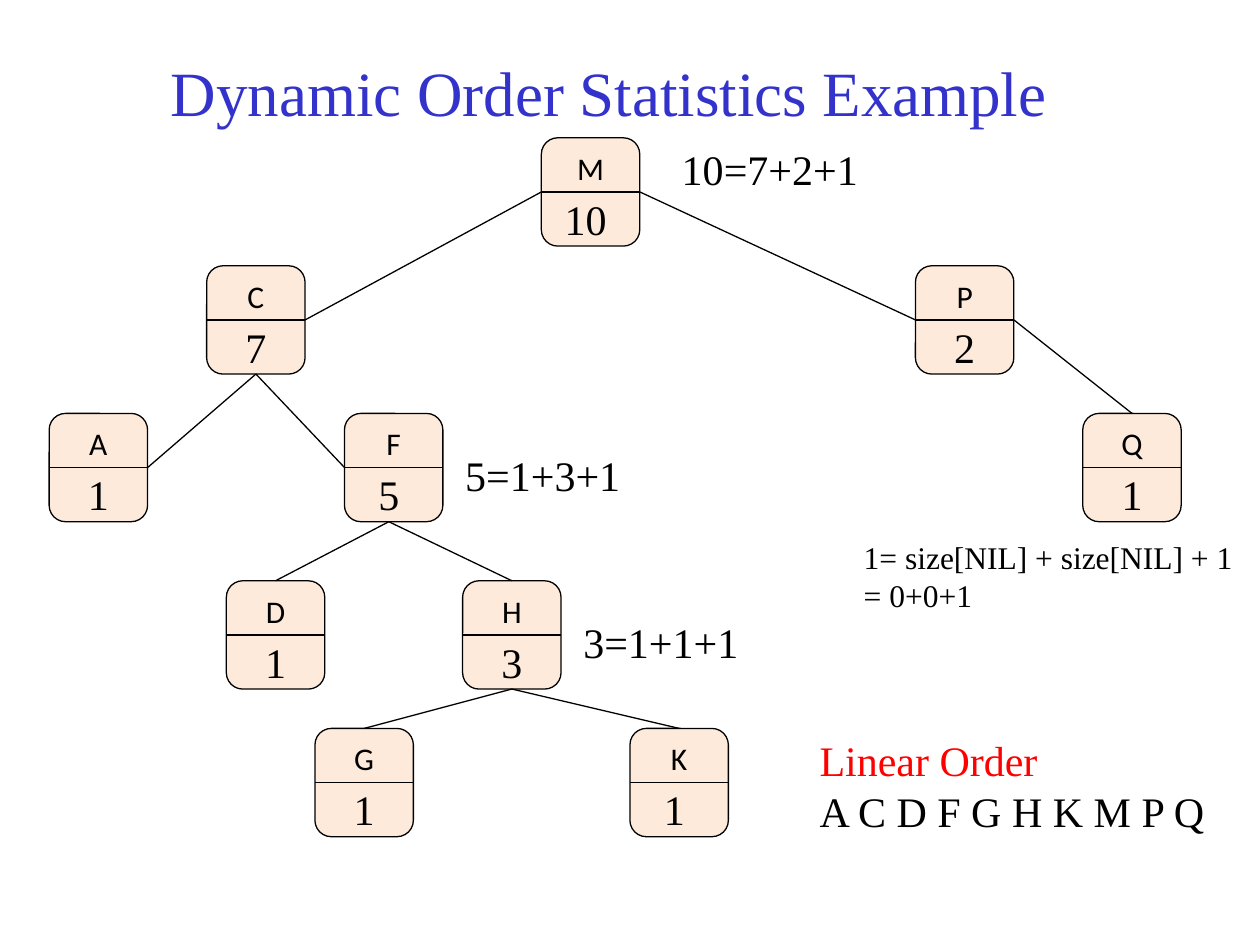
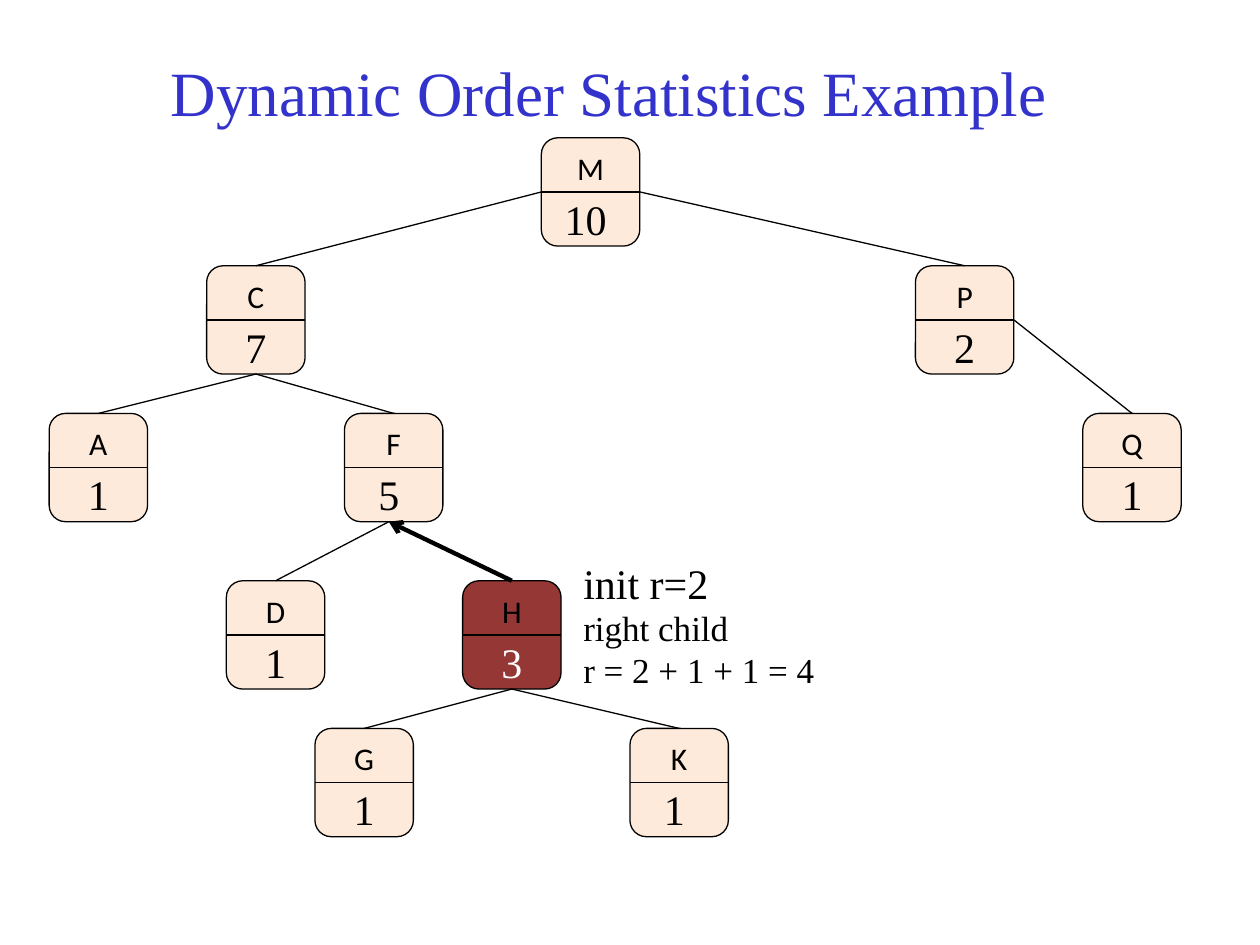
import dataclasses

import pptx
import pptx.dml.color
import pptx.enum.shapes
import pptx.enum.text
import pptx.oxml
import pptx.oxml.ns
import pptx.util

Pt = pptx.util.Pt
ALIGN = pptx.enum.text.PP_ALIGN


@dataclasses.dataclass(frozen=True)
class Theme:
    title: str = "3333CC"
    ink: str = "000000"
    accent: str = "FF0000"
    node: str = "FDEADA"
    current: str = "953735"
    on_current: str = "FFFFFF"
    serif: str = "Times New Roman"
    sans: str = "Calibri"
    title_size: int = 36
    value_size: int = 24
    note_size: int = 20
    label_size: int = 18
    thin: float = 0.75
    thick: float = 2.5


THEME = Theme()
GRID = 45 / 8
NODE_WIDTH, NODE_HEIGHT = 10, 11
ROWS = (14, 27, 42, 59, 74)

# key: column, row, size of subtree, width of the value box
NODES = {
    "M": (55, 0, 10, 7),
    "P": (93, 1, 2, 8),
    "C": (21, 1, 7, 8),
    "A": (5, 2, 1, 8),
    "F": (35, 2, 5, 7),
    "D": (23, 3, 1, 8),
    "H": (47, 3, 3, 8),
    "K": (64, 4, 1, 7),
    "G": (32, 4, 1, 8),
    "Q": (110, 2, 1, 8),
}
SHARED_EDGES = (
    ("Q", "top", "P", "right"),
    ("D", "top", "F", "bottom"),
    ("G", "top", "H", "bottom"),
    ("K", "top", "H", "bottom"),
)
SIZE_EDGES = (
    ("C", "right", "M", "left"),
    ("P", "left", "M", "right"),
    ("A", "right", "C", "bottom"),
    ("F", "left", "C", "bottom"),
    ("H", "top", "F", "bottom"),
)
RANK_EDGES = (
    ("C", "top", "M", "left"),
    ("P", "top", "M", "right"),
    ("A", "top", "C", "bottom"),
    ("F", "top", "C", "bottom"),
)


def rgb(color):
    return pptx.dml.color.RGBColor.from_string(color)


def style_paragraph(paragraph, text, size, font, color, alignment):
    paragraph.text = text
    paragraph.alignment = alignment
    paragraph.font.size = Pt(size)
    paragraph.font.name = font
    paragraph.font.color.rgb = rgb(color)


def add_text(shapes, box, lines, size, color=THEME.ink, alignment=ALIGN.LEFT, wrap=False):
    shape = shapes.add_textbox(*map(Pt, box))
    frame = shape.text_frame
    frame.word_wrap = wrap
    frame.auto_size = pptx.enum.text.MSO_AUTO_SIZE.SHAPE_TO_FIT_TEXT
    for index, line in enumerate(lines):
        paragraph = frame.add_paragraph() if index else frame.paragraphs[0]
        style_paragraph(paragraph, line, size, THEME.serif, color, alignment)
    return shape


def add_line(shapes, start, end, width=THEME.thin, arrow=False):
    connector = shapes.add_connector(
        pptx.enum.shapes.MSO_CONNECTOR.STRAIGHT, *map(Pt, (*start, *end))
    )
    connector.line.color.rgb = rgb(THEME.ink)
    connector.line.width = Pt(width)
    if arrow:
        namespace = pptx.oxml.ns.nsdecls("a")
        connector.line._get_or_add_ln().append(
            pptx.oxml.parse_xml(f'<a:tailEnd {namespace} type="arrow"/>')
        )
    properties = connector._element.spPr
    properties.append(properties.makeelement(pptx.oxml.ns.qn("a:effectLst"), {}))


def node_point(key, side):
    column, row, _, value_width = NODES[key]
    across, down = {
        "left": (0, NODE_HEIGHT / 2),
        "right": (NODE_WIDTH, NODE_HEIGHT / 2),
        "top": (NODE_WIDTH / 2, 0),
        "bottom": (1 + value_width / 2, NODE_HEIGHT),
    }[side]
    return (column + across) * GRID, (ROWS[row] + down) * GRID


def add_node(slide, key, current):
    column, row, value, value_width = NODES[key]
    left, top = column * GRID, ROWS[row] * GRID
    shapes = slide.shapes.add_group_shape().shapes
    shape = shapes.add_shape(
        pptx.enum.shapes.MSO_SHAPE.ROUNDED_RECTANGLE,
        *map(Pt, (left, top, NODE_WIDTH * GRID, NODE_HEIGHT * GRID)),
    )
    shape.shadow.inherit = False
    shape.fill.solid()
    shape.fill.fore_color.rgb = rgb(THEME.current if current else THEME.node)
    shape.line.color.rgb = rgb(THEME.ink)
    shape.line.width = Pt(THEME.thin)
    frame = shape.text_frame
    frame.vertical_anchor = pptx.enum.text.MSO_ANCHOR.TOP
    style_paragraph(
        frame.paragraphs[0], key, THEME.label_size, THEME.sans, THEME.ink, ALIGN.CENTER
    )
    add_line(shapes, node_point(key, "left"), node_point(key, "right"))
    add_text(
        shapes,
        (left + GRID, top + 5 * GRID, value_width * GRID, 33.25),
        [str(value)],
        THEME.value_size,
        THEME.on_current if current else THEME.ink,
        ALIGN.CENTER,
        wrap=value < 10,
    )


def add_tree_slide(presentation, edges, current=None):
    slide = presentation.slides.add_slide(presentation.slide_layouts[6])
    title = add_text(
        slide.shapes, (42, 26, 612, 52), ["Dynamic Order Statistics Example"],
        THEME.title_size, THEME.title, ALIGN.CENTER, wrap=True,
    )
    title.text_frame.auto_size = pptx.enum.text.MSO_AUTO_SIZE.NONE
    title.text_frame.vertical_anchor = pptx.enum.text.MSO_ANCHOR.MIDDLE
    for key in NODES:
        add_node(slide, key, key == current)
    for child, child_side, parent, parent_side in edges + SHARED_EDGES:
        add_line(slide.shapes, node_point(child, child_side), node_point(parent, parent_side))
    return slide


def add_size_slide(presentation):
    shapes = add_tree_slide(presentation, SIZE_EDGES).shapes
    for left, top, width, sum_text in (
        (382.5, 78.75, 116, "10=7+2+1"),
        (258.75, 253.13, 104, "5=1+3+1"),
        (326.25, 348.75, 104, "3=1+1+1"),
    ):
        add_text(shapes, (left, top, width, 33.5), [sum_text], THEME.value_size)
    add_text(
        shapes, (486.5, 303.75, 227.5, 46.5),
        ["1= size[NIL] + size[NIL] + 1", "= 0+0+1"], THEME.label_size,
    )
    order = add_text(
        shapes, (461.25, 416.25, 237, 60),
        ["Linear Order", "A C D F G H K M P Q"], THEME.value_size,
    )
    order.text_frame.paragraphs[0].font.color.rgb = rgb(THEME.accent)


def add_rank_slide(presentation):
    shapes = add_tree_slide(presentation, RANK_EDGES, current="H").shapes
    add_text(shapes, (326.25, 315, 86.5, 33.5), ["init r=2"], THEME.value_size)
    add_text(
        shapes, (326.25, 343.25, 181.5, 51),
        ["right child", "r = 2 + 1 + 1 = 4"], THEME.note_size, wrap=True,
    )
    add_line(
        shapes, node_point("H", "top"), node_point("F", "bottom"), THEME.thick, arrow=True
    )


def main():
    presentation = pptx.Presentation()
    presentation.slide_width = Pt(720)
    presentation.slide_height = Pt(540)
    add_size_slide(presentation)
    add_rank_slide(presentation)
    presentation.save("out.pptx")


main()
